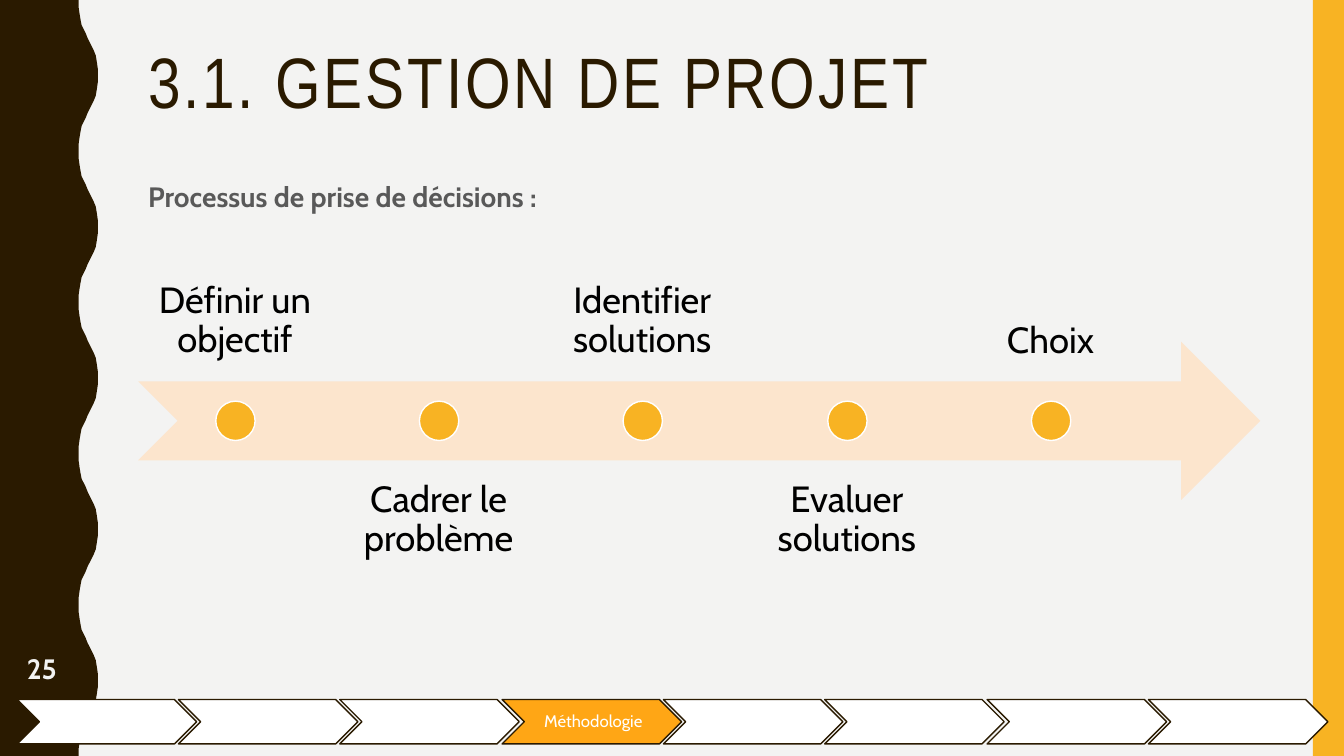
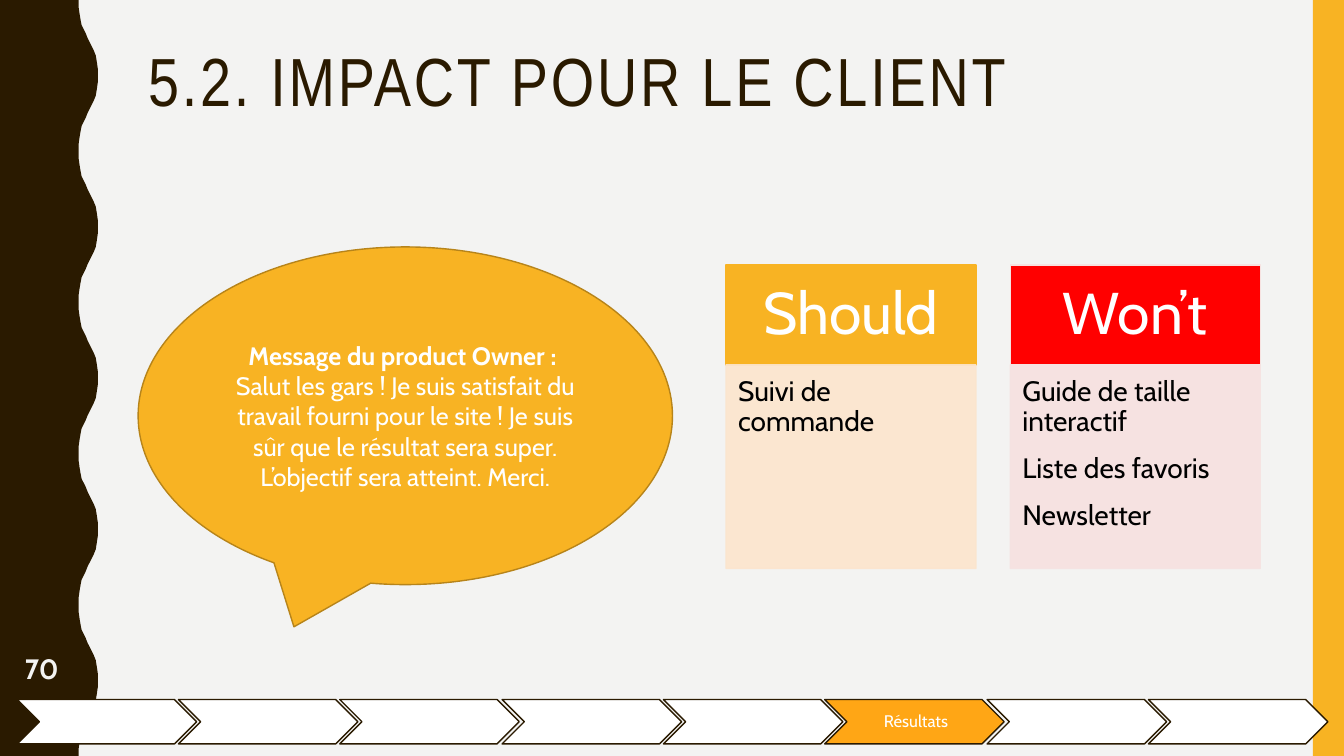
from dataclasses import dataclass

from lxml.etree import SubElement
from pptx import Presentation
from pptx.dml.color import RGBColor as Rgb
from pptx.dml.fill import FillFormat as Fill
from pptx.enum.shapes import MSO_SHAPE as Kind
from pptx.enum.text import MSO_ANCHOR as Anchor, PP_ALIGN as Align
from pptx.oxml.ns import qn
from pptx.shapes.autoshape import Shape
from pptx.slide import Slide
from pptx.util import Emu, Pt

SCALE = 9144  # EMU per px, 100 px to the inch
WIDE, HIGH = 1333, 750
LEFT, SPAN = 137, 1113  # content column
COLORS = {
    "paper": "F3F3F2", "dark": "2A1A00", "gold": "F8B323", "edge": "B7841A",
    "active": "FFA615", "white": "FFFFFF", "black": "000000", "gray": "595959",
    "peach": "FCE5CD", "red": "FF0000", "pink": "F6E2E1",
}
# Half a period of the wavy edge; the other half mirrors it
WAVE = [(78, 0), (78, 7), (79, 14), (80, 20), (81, 25), (83, 29), (85, 33), (87, 38),
        (89, 42), (91, 46), (93, 50), (95, 55), (96, 61), (97, 68), (97, 75)]
PERIOD = 150
STAGES = 8


@dataclass
class Box:
    x: int
    y: int
    w: int
    h: int

    def emu(self) -> list[Emu]:
        return [px(n) for n in (self.x, self.y, self.w, self.h)]


@dataclass
class Page:
    title: str
    size: float
    number: int
    stage: int
    label: str


@dataclass
class Card:
    head: str
    items: list[str]
    top: str
    rim: str
    body: str
    clear: bool


PLAN = Page("3.1. GESTION DE PROJET", 51, 25, 3, "Méthodologie")
IMPACT = Page("5.2. IMPACT POUR LE CLIENT", 48.6, 70, 5, "Résultats")
STEPS = ["Définir un objectif", "Cadrer le problème", "Identifier solutions",
         "Evaluer solutions", "Choix"]
SPEECH = ["Message du product Owner : ",
          "Salut les gars ! Je suis satisfait du travail fourni pour le site ! "
          "Je suis sûr que le résultat sera super. L’objectif sera atteint. Merci."]
CARDS = [
    Card("Should", ["Suivi de commande"], "gold", "gold", "peach", True),
    Card("Won’t", ["Guide de taille interactif", "Liste des favoris", "Newsletter"],
         "red", "pink", "pink", False),
]


def px(n: int) -> Emu:
    return Emu(n * SCALE)


def rgb(name: str) -> Rgb:
    return Rgb.from_string(COLORS[name])


def paint(shape: Shape, fill: str, line: str = "") -> Shape:
    shape.shadow.inherit = False
    shape.fill.solid()
    shape.fill.fore_color.rgb = rgb(fill)
    if line:
        shape.line.color.rgb = rgb(line)
        shape.line.width = Pt(1)
    else:
        shape.line.fill.background()
    return shape


def fade(fill: Fill, share: int = 90) -> None:
    color = fill._xPr.find(qn("a:solidFill"))[0]
    SubElement(color, qn("a:alpha")).set("val", str(share * 1000))


def draw(slide: Slide, kind: Kind, box: Box, fill: str, line: str = "") -> Shape:
    return paint(slide.shapes.add_shape(kind, *box.emu()), fill, line)


def write(shape: Shape, lines: list[str], *, size: float, color: str,
          font: str = "Cabin", bold: int = 0, align: Align = Align.LEFT,
          anchor: Anchor = Anchor.TOP, lead: float = 1.0, after: int = 0,
          track: int = 0, pad: tuple[int, int, int, int] = (10, 5, 10, 5)) -> None:
    """Fill a shape with paragraphs, the first `bold` of them in bold."""
    frame = shape.text_frame
    frame.word_wrap = True
    frame.vertical_anchor = anchor
    (frame.margin_left, frame.margin_top,
     frame.margin_right, frame.margin_bottom) = map(px, pad)
    for i, line in enumerate(lines):
        para = frame.add_paragraph() if i else frame.paragraphs[0]
        para.alignment = align
        para.line_spacing = lead
        para.space_after = Pt(after)
        run = para.add_run()
        run.text = line
        run.font.name = font
        run.font.size = Pt(size)
        run.font.bold = i < bold
        run.font.color.rgb = rgb(color)
        if track:
            run._r.get_or_add_rPr().set("spc", str(track * 100))


def label(slide: Slide, box: Box, text: str, **style) -> None:
    write(slide.shapes.add_textbox(*box.emu()), [text], **style)


def wave(slide: Slide) -> None:
    cycle = WAVE + [(x, PERIOD - y) for x, y in WAVE[-2::-1]]
    edge = [(x, y + top) for top in range(0, HIGH, PERIOD) for x, y in cycle]
    form = slide.shapes.build_freeform(0, 0, scale=SCALE)
    form.add_line_segments(edge + [(0, HIGH)], close=True)
    paint(form.convert_to_shape(), "dark")


def track(slide: Slide, page: Page) -> None:
    for i in range(STAGES):
        live = i == page.stage
        box = Box(17 + round(i * 160.25), 694, 178, 44)
        step = draw(slide, Kind.CHEVRON, box, "active" if live else "white", "dark")
        if live:
            write(step, [page.label], size=12, color="white", align=Align.CENTER,
                  anchor=Anchor.MIDDLE, lead=0.9, pad=(5, 2, 2, 2))


def start(deck: Presentation, page: Page) -> Slide:
    """Add a slide with the shared bands, title, number and progress track."""
    slide = deck.slides.add_slide(deck.slide_layouts[6])
    wave(slide)
    draw(slide, Kind.RECTANGLE, Box(1302, 0, 31, HIGH), "gold")
    label(slide, Box(LEFT, 42, SPAN, 89), page.title, size=page.size,
          color="dark", font="Arial Narrow", lead=0.9, track=2)
    label(slide, Box(8, 641, 67, 44), str(page.number), size=20, color="paper",
          bold=1, align=Align.CENTER, anchor=Anchor.MIDDLE)
    track(slide, page)
    return slide


def plan(deck: Presentation) -> None:
    slide = start(deck, PLAN)
    label(slide, Box(LEFT, 173, SPAN, 44), "Processus de prise de décisions :",
          size=20, color="gray", bold=1)
    # Timeline: labels alternate above and below the arrow
    draw(slide, Kind.NOTCHED_RIGHT_ARROW, Box(LEFT, 339, SPAN, 157), "peach")
    for i, step in enumerate(STEPS):
        x = LEFT + round(i * 202.2)
        below = i % 2 == 1
        label(slide, Box(x, 457 if below else 221, 192, 157), step, size=26,
              color="black", align=Align.CENTER, lead=0.9, pad=(20, 20, 20, 20),
              anchor=Anchor.TOP if below else Anchor.BOTTOM)
        draw(slide, Kind.OVAL, Box(x + 77, 398, 39, 39), "gold", "white")


def impact(deck: Presentation) -> None:
    slide = start(deck, IMPACT)
    # Client message
    bubble = draw(slide, Kind.OVAL_CALLOUT, Box(LEFT, 245, 530, 335), "gold", "edge")
    write(bubble, SPEECH, size=18, color="white", bold=1, align=Align.CENTER,
          anchor=Anchor.MIDDLE)
    # Priority cards
    for i, card in enumerate(CARDS):
        x = 720 + i * 282
        head = draw(slide, Kind.RECTANGLE, Box(x, 263, 248, 99), card.top, card.rim)
        write(head, [card.head], size=42, color="white", align=Align.CENTER,
              anchor=Anchor.MIDDLE, lead=0.9, pad=(33, 19, 33, 19))
        body = draw(slide, Kind.RECTANGLE, Box(x, 362, 248, 202), card.body, card.body)
        fade(body.line.fill)
        if card.clear:
            fade(body.fill)
        write(body, card.items, size=20, color="black", lead=0.9, after=12,
              pad=(12, 12, 16, 17))


def main() -> None:
    deck = Presentation()
    deck.slide_width, deck.slide_height = px(WIDE), px(HIGH)
    back = deck.slide_master.background.fill
    back.solid()
    back.fore_color.rgb = rgb("paper")
    plan(deck)
    impact(deck)
    deck.save("out.pptx")


if __name__ == "__main__":
    main()
